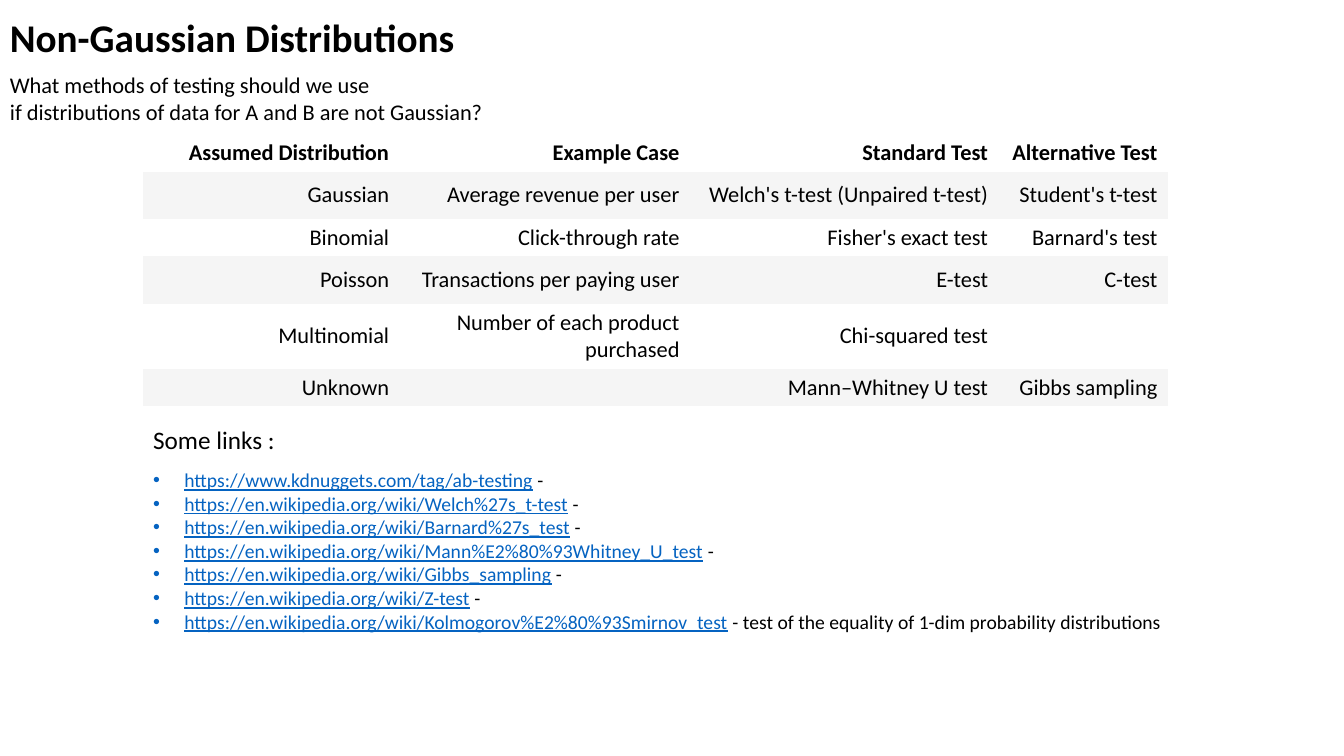
from lxml.etree import SubElement
from pptx import Presentation
from pptx.dml.color import RGBColor
from pptx.enum.text import MSO_ANCHOR, PP_ALIGN
from pptx.oxml.ns import qn
from pptx.util import Inches, Pt

COLORS = {"ink": "000000", "link": "0563C1", "plain": "FFFFFF", "band": "F5F5F5"}
FONT = "Calibri"
NO_STYLE = "{2D5ABB26-0587-4C30-8999-92F81FD0307C}"
WIDTHS = [2.54, 2.88, 3.06, 1.68]
HEIGHTS = [0.27, 0.47, 0.27, 0.47, 0.47, 0.27]
TESTS = [
    ["Assumed Distribution", "Example Case", "Standard Test", "Alternative Test"],
    ["Gaussian", "Average revenue per user", "Welch's t-test (Unpaired t-test)", "Student's t-test"],
    ["Binomial", "Click-through rate", "Fisher's exact test", "Barnard's test"],
    ["Poisson", "Transactions per paying user", "E-test", "C-test"],
    ["Multinomial", "Number of each product purchased", "Chi-squared test", ""],
    ["Unknown", "", "Mann–Whitney U test", "Gibbs sampling"],
]
WIKI = "https://en.wikipedia.org/wiki/"
LINKS = [
    ("https://www.kdnuggets.com/tag/ab-testing", " -"),
    (WIKI + "Welch%27s_t-test", " -"),
    (WIKI + "Barnard%27s_test", " -"),
    (WIKI + "Mann%E2%80%93Whitney_U_test", " -"),
    (WIKI + "Gibbs_sampling", " -"),
    (WIKI + "Z-test", " -"),
    (WIKI + "Kolmogorov%E2%80%93Smirnov_test",
     " - test of the equality of 1-dim probability distributions"),
]


def style(run, size, color="ink", bold=False, under=False):
    font = run.font
    font.name = FONT
    font.size = Pt(size)
    font.bold = bold
    font.underline = under
    font.color.rgb = RGBColor.from_string(COLORS[color])


def add_text(slide, box, lines, size, bold=False):
    frame = slide.shapes.add_textbox(*map(Inches, box)).text_frame
    frame.word_wrap = True
    frame.text = "\n".join(lines)
    for line in frame.paragraphs:
        for run in line.runs:
            style(run, size, bold=bold)
    return frame


def add_link(frame, link, note, gap):
    line = frame.add_paragraph()
    props = line._p.get_or_add_pPr()
    props.set("marL", str(Inches(0.31)))
    props.set("indent", str(-Inches(0.31)))
    SubElement(props, qn("a:buFont"), typeface="Arial")
    SubElement(props, qn("a:buChar"), char="•")
    line.space_before = Pt(gap)
    for text, color in ((link, "link"), (note, "ink")):
        run = line.add_run()
        run.text = text
        style(run, 14, color, under=color == "link")


def fill_cell(cell, text, head, band):
    cell.fill.solid()
    cell.fill.fore_color.rgb = RGBColor.from_string(COLORS["band" if band else "plain"])
    cell.vertical_anchor = MSO_ANCHOR.MIDDLE
    cell.text_frame.text = text
    line = cell.text_frame.paragraphs[0]
    line.alignment = PP_ALIGN.RIGHT
    for run in line.runs:
        style(run, 16, bold=head)
    if not text:
        SubElement(line._p, qn("a:endParaRPr"), sz="1600")


def add_tests(slide):
    box = map(Inches, (1.42, 1.33, sum(WIDTHS), sum(HEIGHTS)))
    table = slide.shapes.add_table(len(TESTS), len(WIDTHS), *box).table
    table._tbl.tblPr.find(qn("a:tableStyleId")).text = NO_STYLE
    for column, width in zip(table.columns, WIDTHS):
        column.width = Inches(width)
    for row, height in zip(table.rows, HEIGHTS):
        row.height = Inches(height)
    for r, texts in enumerate(TESTS):
        for c, text in enumerate(texts):
            fill_cell(table.cell(r, c), text, r == 0, r % 2)


def main():
    deck = Presentation()
    deck.slide_width = Inches(13.33)
    deck.slide_height = Inches(7.5)
    slide = deck.slides.add_slide(deck.slide_layouts[6])
    add_tests(slide)
    add_text(slide, (0, 0.08, 5.17, 0.57), ["Non-Gaussian Distributions"], 28, True)
    add_text(slide, (0, 0.66, 5.17, 0.64), [
        "What methods of testing should we use",
        "if distributions of data for A and B are not Gaussian?",
    ], 16)
    frame = add_text(slide, (1.42, 4.16, 10.51, 2.19), ["Some links :"], 18)
    for i, (link, note) in enumerate(LINKS):
        add_link(frame, link, note, 0 if i else 9.8)
    deck.save("out.pptx")


if __name__ == "__main__":
    main()
